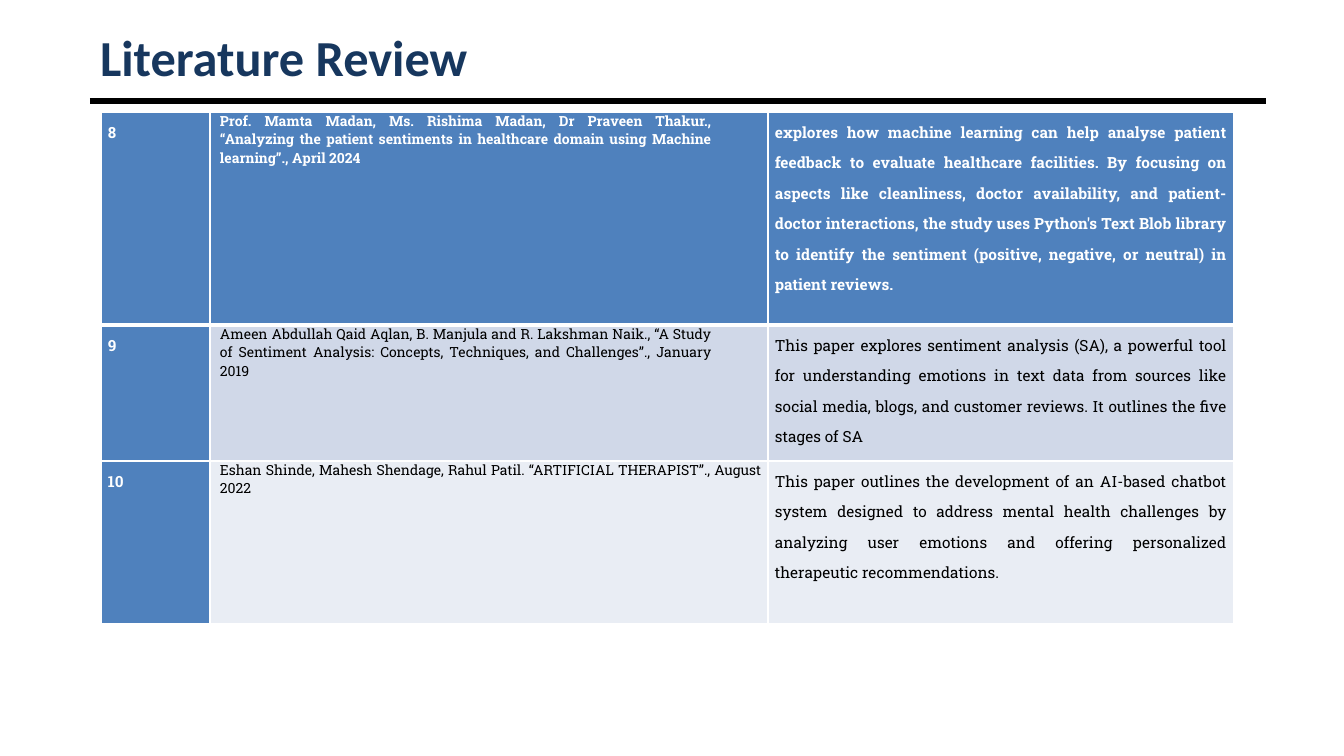
"""Build a literature review slide with a three-row table of papers."""
from dataclasses import dataclass

import lxml.etree
import pptx
import pptx.dml.color
import pptx.enum.shapes
import pptx.enum.text
import pptx.oxml.ns
import pptx.util

TITLE = "Literature Review"
PAPERS = [
    ("8",
     "Prof. Mamta Madan, Ms. Rishima Madan, Dr Praveen Thakur., “Analyzing the patient "
     "sentiments in healthcare domain using Machine learning”., April 2024",
     "explores how machine learning can help analyse patient feedback to evaluate healthcare "
     "facilities. By focusing on aspects like cleanliness, doctor availability, and "
     "patient-doctor interactions, the study uses Python's Text Blob library to identify the "
     "sentiment (positive, negative, or neutral) in patient reviews."),
    ("9",
     "Ameen Abdullah Qaid Aqlan, B. Manjula and R. Lakshman Naik., “A Study of Sentiment "
     "Analysis: Concepts, Techniques, and Challenges”., January 2019",
     "This paper explores sentiment analysis (SA), a powerful tool for understanding emotions "
     "in text data from sources like social media, blogs, and customer reviews. It outlines "
     "the five stages of SA"),
    ("10",
     "Eshan Shinde, Mahesh Shendage, Rahul Patil. “ARTIFICIAL THERAPIST”., August 2022",
     "This paper outlines the development of an AI-based chatbot system designed to address "
     "mental health challenges by analyzing user emotions and offering personalized "
     "therapeutic recommendations."),
]

PAGE_SIZE = (1344, 756)
TITLE_BOX = (90, 30, 1176, 53)
RULE_Y = 101
TABLE_ORIGIN = (101, 112)
COLUMN_WIDTHS = (109, 558, 466)
ROW_HEIGHTS = (213, 136, 163)
CITATION_RIGHT_INDENTS = (50, 50, 0)
CITATION_LEFT_INDENT = 3
CELL_MARGIN = 7
CITATION_COLUMN = 1


@dataclass(frozen=True)
class Theme:
    title_font: str = "Calibri"
    table_font: str = "Roboto Slab"
    title_color: str = "17375E"
    rule_color: str = "000000"
    body_color: str = "000000"
    light: str = "FFFFFF"
    accent: str = "4F81BD"
    bands: tuple = ("D0D8E8", "E9EDF4")
    title_size: int = 36
    citation_size: int = 10
    body_size: int = 11
    rule_width: float = 4.5
    border_width: int = 1
    header_border_width: int = 3


THEME = Theme()


def px(length):
    return pptx.util.Emu(round(length * 914400 / 100.8))


def rgb(value):
    return pptx.dml.color.RGBColor.from_string(value)


def apply(target, formats):
    for name, value in formats.items():
        setattr(target, name, value)


def write(para, text, font, size, color, bold):
    span = para.add_run()
    span.text = text
    apply(span.font, {"name": font, "size": pptx.util.Pt(size), "bold": bold})
    span.font.color.rgb = rgb(color)


def add_border(cell, side, width):
    properties = cell._tc.get_or_add_tcPr()
    name = pptx.oxml.ns.qn
    line = lxml.etree.SubElement(properties, name(f"a:ln{side}"), w=str(pptx.util.Pt(width)))
    fill = lxml.etree.SubElement(line, name("a:solidFill"))
    lxml.etree.SubElement(fill, name("a:srgbClr"), val=THEME.light)


def add_title(page):
    title = page.shapes.title
    apply(title, dict(zip(("left", "top", "width", "height"), map(px, TITLE_BOX))))
    apply(title.text_frame, {
        "word_wrap": True,
        "auto_size": pptx.enum.text.MSO_AUTO_SIZE.NONE,
        "vertical_anchor": pptx.enum.text.MSO_ANCHOR.MIDDLE,
    })
    para = title.text_frame.paragraphs[0]
    para.alignment = pptx.enum.text.PP_ALIGN.LEFT
    write(para, TITLE, THEME.title_font, THEME.title_size, THEME.title_color, True)


def add_rule(page):
    left, _, width, _ = TITLE_BOX
    rule = page.shapes.add_connector(
        pptx.enum.shapes.MSO_CONNECTOR.STRAIGHT,
        px(left), px(RULE_Y), px(left + width), px(RULE_Y))
    rule.line.color.rgb = rgb(THEME.rule_color)
    rule.line.width = pptx.util.Pt(THEME.rule_width)
    lxml.etree.SubElement(rule._element.spPr, pptx.oxml.ns.qn("a:effectLst"))


def fill_cell(cell, row, column, text):
    header = row == 0
    accented = header or column == 0
    header_edge = {0: "B", 1: "T"}.get(row)
    for side in "LRTB":
        width = THEME.header_border_width if side == header_edge else THEME.border_width
        add_border(cell, side, width)
    cell.fill.solid()
    cell.fill.fore_color.rgb = rgb(THEME.accent if accented else THEME.bands[row - 1])
    apply(cell, {"margin_left": px(CELL_MARGIN), "margin_right": px(CELL_MARGIN),
                 "margin_top": 0, "margin_bottom": 0})

    para = cell.text_frame.paragraphs[0]
    para.alignment = pptx.enum.text.PP_ALIGN.JUSTIFY
    size = THEME.body_size
    if column == CITATION_COLUMN:
        size = THEME.citation_size
        indents = para._p.get_or_add_pPr()
        indents.set("marL", str(px(CITATION_LEFT_INDENT)))
        indents.set("marR", str(px(CITATION_RIGHT_INDENTS[row])))
    else:
        para.line_spacing = 1.5
    color = THEME.light if accented else THEME.body_color
    write(para, text, THEME.table_font, size, color, accented)


def add_papers(page):
    frame = page.shapes.add_table(
        len(PAPERS), len(COLUMN_WIDTHS), *map(px, TABLE_ORIGIN),
        px(sum(COLUMN_WIDTHS)), px(sum(ROW_HEIGHTS)))
    table = frame.table
    apply(table, {"first_row": True, "first_col": True, "horz_banding": True})
    for column, width in zip(table.columns, COLUMN_WIDTHS):
        column.width = px(width)
    for row, height in zip(table.rows, ROW_HEIGHTS):
        row.height = px(height)
    for row, paper in enumerate(PAPERS):
        for column, text in enumerate(paper):
            fill_cell(table.cell(row, column), row, column, text)


def main():
    deck = pptx.Presentation()
    apply(deck, dict(zip(("slide_width", "slide_height"), map(px, PAGE_SIZE))))
    page = deck.slides.add_slide(deck.slide_layouts.get_by_name("Title Only"))
    add_title(page)
    add_rule(page)
    add_papers(page)
    deck.save("out.pptx")


if __name__ == "__main__":
    main()
